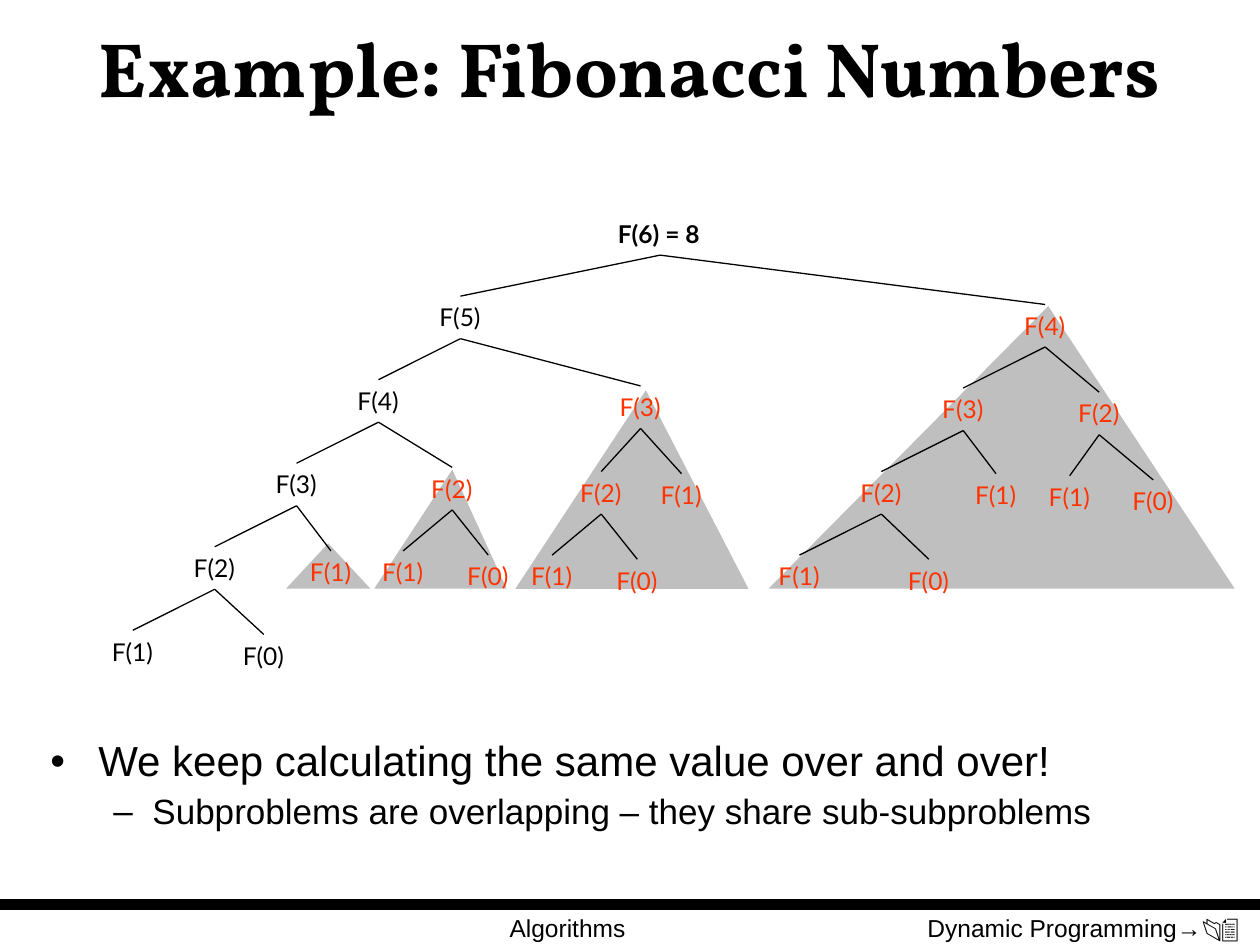
from lxml import etree
from pptx import Presentation
from pptx import util as u
from pptx.dml import color
from pptx.enum import shapes, text
from pptx.oxml import ns

BLACK, RED, GRAY = "000000", "FF3300", "808080"

deck = Presentation()
deck.slide_width, deck.slide_height = u.Inches(10), u.Inches(7.5)
page = deck.slides.add_slide(deck.slide_layouts[1])


def frame(left, top, width, height):
    """Turn percentages of the slide's width and height into lengths."""
    across, down = deck.slide_width / 100, deck.slide_height / 100
    return [round(left * across), round(top * down), round(width * across), round(height * down)]


def add_span(para, words, size, font="Arial", hue=BLACK, bold=False):
    span = para.add_run()
    span.text = words
    span.font.size, span.font.name, span.font.bold = u.Pt(size), font, bold
    span.font.color.rgb = color.RGBColor.from_string(hue)


# Footer
left, top, width, height = frame(0, 95.7, 100, 0)
rule = page.shapes.add_connector(shapes.MSO_CONNECTOR.STRAIGHT, left, top, left + width, top)
rule.line.width = u.Pt(6)
rule.line.color.rgb = color.RGBColor.from_string(BLACK)
etree.SubElement(rule._element.spPr, ns.qn("a:effectLst"))

for words, left, width, align in [
    ("Algorithms", 29.2, 31.7, text.PP_ALIGN.CENTER),
    ("Dynamic Programming→📂📄", 71.8, 27.5, text.PP_ALIGN.RIGHT),
]:
    box = page.shapes.add_textbox(*frame(left, 96, width, 6.9))
    box.text_frame.word_wrap = True
    para = box.text_frame.paragraphs[0]
    para.alignment = align
    add_span(para, words, 14)

# Repeated subtrees: left, top, width, apex position; all stand on one base
BASE = 62.3
subtrees = page.shapes.add_group_shape()
for left, top, width, apex in [
    (61, 32.4, 37, 0.6),
    (40.9, 41.3, 18.5, 0.56),
    (29.7, 49.7, 10.5, 0.59),
    (22.7, 57.5, 6.7, 0.5),
]:
    triangle = subtrees.shapes.add_shape(
        shapes.MSO_SHAPE.ISOSCELES_TRIANGLE, *frame(left, top, width, BASE - top))
    triangle.adjustments[0] = apex
    triangle.shadow.inherit = False
    triangle.line.fill.background()
    triangle.fill.solid()
    triangle.fill.fore_color.rgb = color.RGBColor.from_string(GRAY)
    shade = triangle._element.spPr.find(".//" + ns.qn("a:srgbClr"))
    etree.SubElement(shade, ns.qn("a:alpha"), val="50000")

# Title and list
title = page.shapes.title
title.left, title.top, title.width, title.height = frame(0.5, 0.9, 99, 12.3)
title.text_frame.vertical_anchor = text.MSO_ANCHOR.MIDDLE
title.text_frame.auto_size = text.MSO_AUTO_SIZE.NONE
para = title.text_frame.paragraphs[0]
para.alignment = text.PP_ALIGN.CENTER
add_span(para, "Example: Fibonacci Numbers", 44, "Vollkorn", bold=True)

body = page.placeholders[1]
body.left, body.top, body.width, body.height = frame(3, 77.7, 96.3, 14.4)
body.text_frame.auto_size = text.MSO_AUTO_SIZE.NONE
for level, (words, size, before, margin, indent, bullet) in enumerate([
    ("We keep calculating the same value over and over!", 24, 0, 0.38, -0.38, "•"),
    ("Subproblems are overlapping – they share sub-subproblems", 20, 5, 0.81, -0.31, "–"),
]):
    para = body.text_frame.add_paragraph() if level else body.text_frame.paragraphs[0]
    para.level, para.line_spacing, para.space_before = level, 0.9, u.Pt(before)
    layout = para._p.get_or_add_pPr()
    layout.set("marL", str(u.Inches(margin)))
    layout.set("indent", str(u.Inches(indent)))
    etree.SubElement(layout, ns.qn("a:buChar"), char=bullet)
    add_span(para, words, size)

# Call tree in preorder: depth, label, columns and rows from the parent, colour
COLUMN, ROW = 1.3, 4.42
calls = [
    (0, "F(6) = 8", 0, 0, BLACK),
    (1, "F(5)", -12.2, 2, BLACK),
    (2, "F(4)", -5, 2, BLACK),
    (3, "F(3)", -5, 2, BLACK),
    (4, "F(2)", -5, 2, BLACK),
    (5, "F(1)", -5, 2, BLACK),
    (5, "F(0)", 3, 2.1, BLACK),
    (4, "F(1)", 2.1, 2.1, RED),
    (3, "F(2)", 4.5, 2.1, RED),
    (4, "F(1)", -3, 2, RED),
    (4, "F(0)", 2.2, 2.1, RED),
    (2, "F(3)", 11, 2.15, RED),
    (3, "F(2)", -2.4, 2.05, RED),
    (4, "F(1)", -3, 2, RED),
    (4, "F(0)", 2.2, 2.1, RED),
    (3, "F(1)", 2.5, 2.1, RED),
    (1, "F(4)", 23.5, 2.2, RED),
    (2, "F(3)", -5, 2, RED),
    (3, "F(2)", -5, 2, RED),
    (4, "F(1)", -5, 2, RED),
    (4, "F(0)", 2.9, 2.1, RED),
    (3, "F(1)", 2, 2.05, RED),
    (2, "F(2)", 3.3, 2.1, RED),
    (3, "F(1)", -1.8, 2, RED),
    (3, "F(0)", 3.3, 2.1, RED),
]
latest = {-1: (None, 52.4, 22.5)}  # newest box, centre and top at each depth
for depth, label, columns, rows, hue in calls:
    parent, center, top = latest[depth - 1]
    center, top = center + columns * COLUMN, top + rows * ROW
    width = 5.3 if depth else 8.7
    box = page.shapes.add_textbox(*frame(center - width / 2, top, width, 4.5))
    box.text_frame.word_wrap = False
    box.text_frame.auto_size = text.MSO_AUTO_SIZE.SHAPE_TO_FIT_TEXT
    add_span(box.text_frame.paragraphs[0], label, 14, "Lato", hue, bold=depth == 0)
    latest[depth] = box, center, top
    if parent is not None:
        branch = page.shapes.add_connector(shapes.MSO_CONNECTOR.STRAIGHT, 0, 0, 0, 0)
        branch.begin_connect(parent, 2)
        branch.end_connect(box, 0)
        branch.line.width = u.Pt(0.75)
        branch.line.color.rgb = color.RGBColor.from_string(BLACK)
        etree.SubElement(branch._element.spPr, ns.qn("a:effectLst"))

deck.save("out.pptx")
